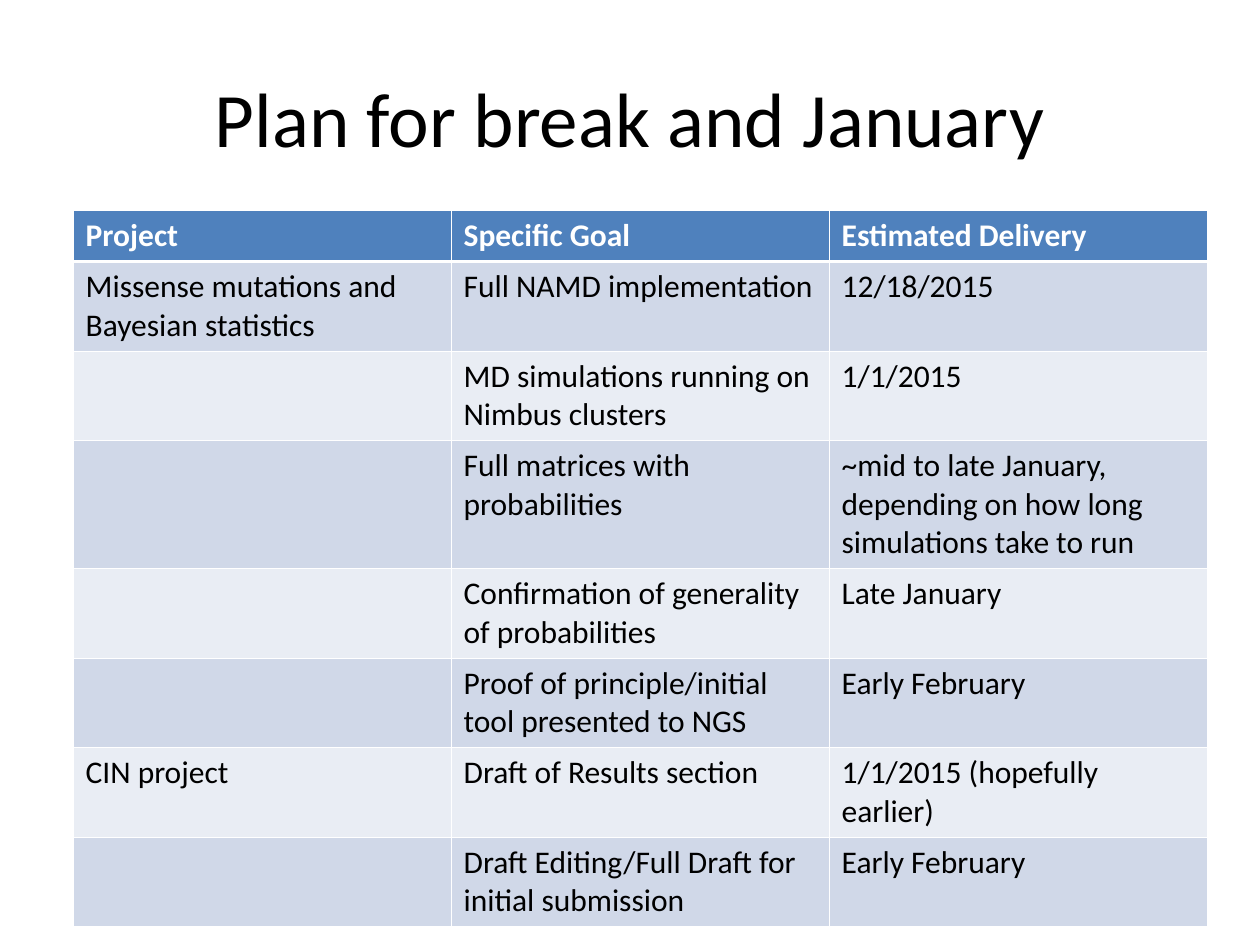
from lxml.etree import SubElement
from pptx import Presentation
from pptx.dml.color import RGBColor
from pptx.enum.text import MSO_ANCHOR, PP_ALIGN
from pptx.oxml.ns import qn
from pptx.util import Inches, Pt

FONT = "Calibri"
WHITE, BLACK = "FFFFFF", "000000"
HEADER_FILL, BAND_FILLS = "4F81BD", ("D0D8E8", "E9EDF4")
THIN, THICK = 0.45, 1.47
LINE_HEIGHT = 0.305
ROW_PADDING = 0.1

PLAN = [
    ("Project", "Specific Goal", "Estimated Delivery"),
    ("Missense mutations and Bayesian statistics", "Full NAMD implementation", "12/18/2015"),
    ("", "MD simulations running on Nimbus clusters", "1/1/2015"),
    ("", "Full matrices with probabilities",
     "~mid to late January, depending on how long simulations take to run"),
    ("", "Confirmation of generality of probabilities", "Late January"),
    ("", "Proof of principle/initial tool presented to NGS", "Early February"),
    ("CIN project", "Draft of Results section", "1/1/2015 (hopefully earlier)"),
    ("", "Draft Editing/Full Draft for initial submission", "Early February"),
]
LINES_PER_ROW = (1, 2, 2, 3, 2, 2, 2, 2)


def color(hex_value):
    """Turn a hex string into a colour."""
    return RGBColor.from_string(hex_value)


def add_text(paragraph, text, size, hex_value, bold=False):
    """Add one formatted run to a paragraph."""
    run = paragraph.add_run()
    run.text = text
    run.font.name = FONT
    run.font.size = Pt(size)
    run.font.bold = bold
    run.font.color.rgb = color(hex_value)


def set_borders(cell, top, bottom):
    """Draw white cell borders with the given top and bottom widths."""
    properties = cell._tc.get_or_add_tcPr()
    for side, width in (("L", THIN), ("R", THIN), ("T", top), ("B", bottom)):
        border = SubElement(properties, qn(f"a:ln{side}"), w=str(Pt(width)))
        fill = SubElement(border, qn("a:solidFill"))
        SubElement(fill, qn("a:srgbClr"), val=WHITE)


def place_title(slide, text, left, top, width, height):
    """Put the heading in the title placeholder within the given box."""
    title = slide.shapes.title
    title.left, title.top, title.width, title.height = left, top, width, height
    frame = title.text_frame
    frame.word_wrap = True
    frame.vertical_anchor = MSO_ANCHOR.MIDDLE
    heading = frame.paragraphs[0]
    heading.alignment = PP_ALIGN.CENTER
    add_text(heading, text, 44, BLACK)


def style_cell(cell, text, row_index):
    """Fill, border and write one plan cell according to its row."""
    is_header = row_index == 0
    set_borders(cell, THICK if row_index == 1 else THIN, THICK if is_header else THIN)
    cell.fill.solid()
    cell.fill.fore_color.rgb = color(HEADER_FILL if is_header else BAND_FILLS[(row_index - 1) % 2])
    cell.margin_left = cell.margin_right = Inches(0.1)
    cell.margin_top = cell.margin_bottom = Inches(0.05)
    if text:
        add_text(cell.text_frame.paragraphs[0], text, 18, WHITE if is_header else BLACK, is_header)


def place_plan(slide, left, top, width):
    """Build the plan table with equal columns and rows sized by line count."""
    heights = [Inches(ROW_PADDING + LINE_HEIGHT * lines) for lines in LINES_PER_ROW]
    frame = slide.shapes.add_table(len(PLAN), len(PLAN[0]), left, top, width, sum(heights))
    plan = frame.table
    for row_index, (entries, height) in enumerate(zip(PLAN, heights)):
        plan.rows[row_index].height = height
        for column_index, text in enumerate(entries):
            style_cell(plan.cell(row_index, column_index), text, row_index)


def main():
    """Create the presentation and save it."""
    presentation = Presentation()
    presentation.slide_width, presentation.slide_height = Inches(10), Inches(7.5)
    slide = presentation.slides.add_slide(presentation.slide_layouts[5])
    place_title(slide, "Plan for break and January",
                Inches(0.5), Inches(0.3), Inches(9), Inches(1.25))
    place_plan(slide, Inches(0.58), Inches(1.67), Inches(9))
    presentation.save("out.pptx")


if __name__ == "__main__":
    main()
